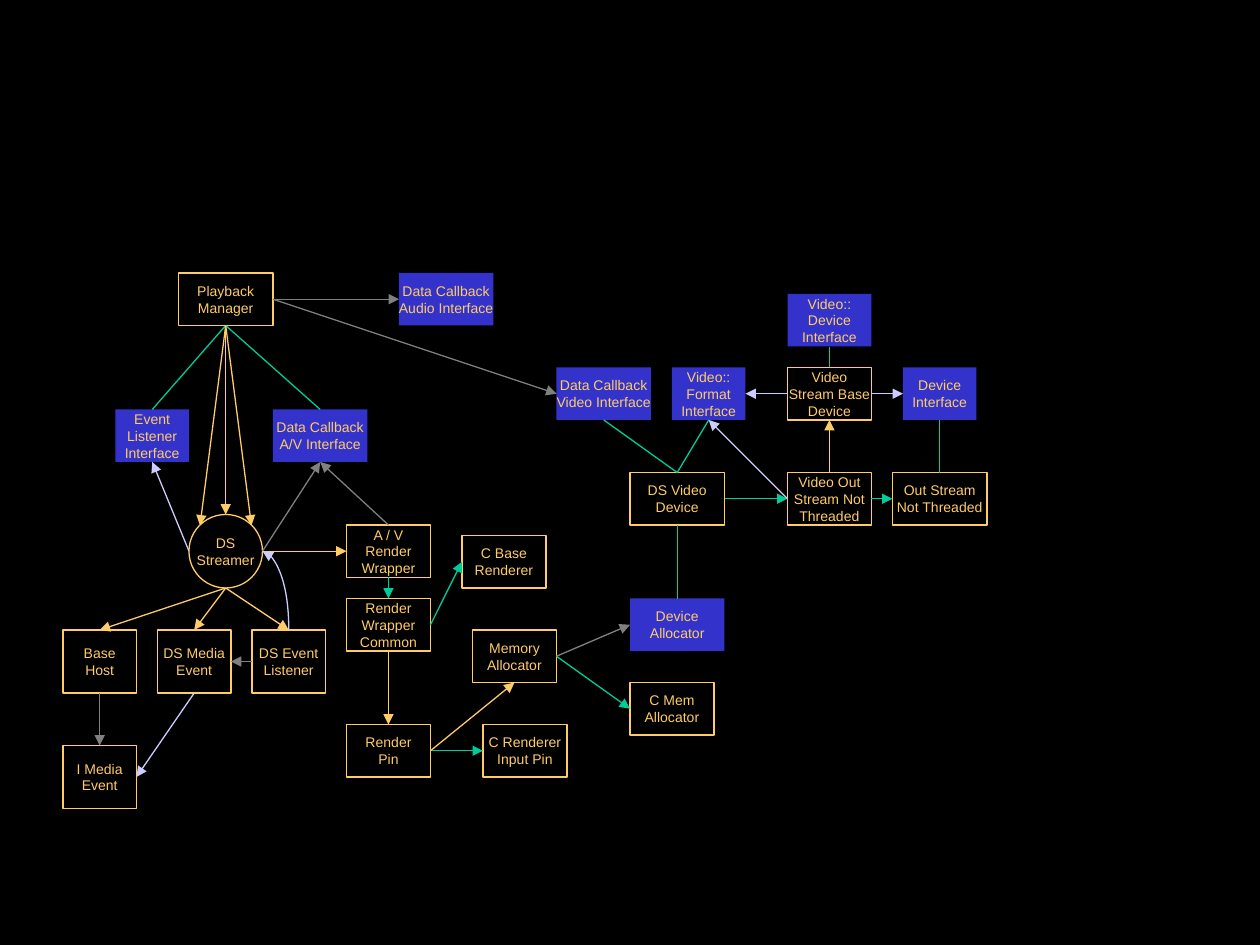
from dataclasses import dataclass

from lxml.etree import SubElement
from pptx import Presentation
from pptx.dml.color import RGBColor
from pptx.enum.shapes import MSO_AUTO_SHAPE_TYPE, MSO_CONNECTOR
from pptx.enum.text import MSO_ANCHOR, PP_ALIGN
from pptx.oxml.ns import qn
from pptx.util import Inches, Pt


@dataclass(frozen=True)
class Theme:
    background: str = "000000"
    gold: str = "FFCC66"
    interface: str = "3333CC"
    green: str = "00CC99"
    grey: str = "808080"
    lavender: str = "CCCCFF"
    font: str = "Arial"
    size: int = 8
    line: float = 0.75


THEME = Theme()
SIDES = ("top", "left", "bottom", "right")
SITES = {
    "top": (0.5, 0), "left": (0, 0.5), "bottom": (0.5, 1), "right": (1, 0.5),
    "upper left": (0.15, 0.15), "upper right": (0.85, 0.15),
}


def grid(n):
    """Length of n grid steps, twelve to the inch."""
    return Inches(n / 12)


def rgb(color):
    return RGBColor.from_string(color)


def write(shape, text, color=THEME.gold, size=THEME.size, font=THEME.font):
    tf = shape.text_frame
    tf.word_wrap = False
    tf.vertical_anchor = MSO_ANCHOR.MIDDLE
    for i, line in enumerate(text.split("\n")):
        p = tf.add_paragraph() if i else tf.paragraphs[0]
        p.alignment = PP_ALIGN.CENTER
        r = p.add_run()
        r.text = line
        r.font.name, r.font.size = font, Pt(size)
        r.font.color.rgb = rgb(color)


def add_node(slide, text, box, fill=None, kind=MSO_AUTO_SHAPE_TYPE.RECTANGLE):
    """Filled boxes are interfaces; outlined ones are classes."""
    sp = slide.shapes.add_shape(kind, *map(grid, box))
    sp.shadow.inherit = False
    if fill:
        sp.fill.solid()
        sp.fill.fore_color.rgb = rgb(fill)
        sp.line.fill.background()
    else:
        sp.fill.background()
        sp.line.color.rgb = rgb(THEME.gold)
        sp.line.width = Pt(THEME.line)
    write(sp, text)
    return sp


def add_nodes(slide, x, y, rows):
    """Place (name, text, dx, dy, width, height, fill) rows from the corner x, y."""
    return {name: add_node(slide, text, (x + dx, y + dy, w, h), fill)
            for name, text, dx, dy, w, h, fill in rows}


def playback_region(slide, x, y):
    blue = THEME.interface
    nodes = add_nodes(slide, x, y, [
        ("manager", "Playback\nManager", 6, 0, 9, 5, None),
        ("audio", "Data Callback\nAudio Interface", 27, 0, 9, 5, blue),
        ("listener_if", "Event\nListener\nInterface", 0, 13, 7, 5, blue),
        ("av", "Data Callback\nA/V Interface", 15, 13, 9, 5, blue),
    ])
    nodes["streamer"] = add_node(slide, "DS\nStreamer", (x + 7, y + 23, 7, 7),
                                 kind=MSO_AUTO_SHAPE_TYPE.OVAL)
    return nodes


def event_region(slide, x, y):
    return add_nodes(slide, x, y, [
        ("host", "Base\nHost", 0, 0, 7, 6, None),
        ("media", "DS Media\nEvent", 9, 0, 7, 6, None),
        ("listener", "DS Event\nListener", 18, 0, 7, 6, None),
        ("i_media", "I Media\nEvent", 0, 11, 7, 6, None),
    ])


def render_region(slide, x, y):
    return add_nodes(slide, x, y, [
        ("wrapper", "A / V\nRender\nWrapper", 0, 0, 8, 5, None),
        ("common", "Render\nWrapper\nCommon", 0, 7, 8, 5, None),
        ("pin", "Render\nPin", 0, 19, 8, 5, None),
        ("base_renderer", "C Base\nRenderer", 11, 1, 8, 5, None),
        ("memory", "Memory\nAllocator", 12, 10, 8, 5, None),
        ("input_pin", "C Renderer\nInput Pin", 13, 19, 8, 5, None),
        ("c_mem", "C Mem\nAllocator", 27, 15, 8, 5, None),
        ("allocator", "Device\nAllocator", 27, 7, 9, 5, THEME.interface),
    ])


def video_region(slide, x, y):
    blue = THEME.interface
    return add_nodes(slide, x, y, [
        ("video_if", "Video::\nDevice\nInterface", 22, 0, 8, 5, blue),
        ("video", "Data Callback\nVideo Interface", 0, 7, 9, 5, blue),
        ("format", "Video::\nFormat\nInterface", 11, 7, 7, 5, blue),
        ("stream_base", "Video\nStream Base\nDevice", 22, 7, 8, 5, None),
        ("device_if", "Device\nInterface", 33, 7, 7, 5, blue),
        ("video_device", "DS Video\nDevice", 7, 17, 9, 5, None),
        ("video_out", "Video Out\nStream Not\nThreaded", 22, 17, 8, 5, None),
        ("out_stream", "Out Stream\nNot Threaded", 32, 17, 9, 5, None),
    ])


def style_line(cxn, color, arrow=True):
    cxn.line.color.rgb = rgb(color)
    cxn.line.width = Pt(THEME.line)
    if arrow:
        SubElement(cxn.line._get_or_add_ln(), qn("a:tailEnd"), type="triangle")
    SubElement(cxn._element.spPr, qn("a:effectLst"))


def site(sp, name):
    fx, fy = SITES[name]
    return int(sp.left + fx * sp.width), int(sp.top + fy * sp.height)


def link(slide, start, start_side, end, end_side, color, arrow=True):
    cxn = slide.shapes.add_connector(
        MSO_CONNECTOR.STRAIGHT, *site(start, start_side), *site(end, end_side))
    for sp, side, connect in ((start, start_side, cxn.begin_connect),
                              (end, end_side, cxn.end_connect)):
        if sp.auto_shape_type == MSO_AUTO_SHAPE_TYPE.RECTANGLE:
            connect(sp, SIDES.index(side))
    style_line(cxn, color, arrow)


def curve_link(slide, start, end, color):
    """Curve up from the top of start and into the right side of end."""
    (x1, y1), (x2, y2) = site(start, "top"), site(end, "right")
    cx, cy = (x1 + x2) // 2, (y1 + y2) // 2
    run, rise = (y1 - y2) // 2, (x1 - x2) // 2
    cxn = slide.shapes.add_connector(
        MSO_CONNECTOR.CURVE, cx - run, cy + rise, cx + run, cy - rise)
    sp_pr = cxn._element.spPr
    sp_pr.find(qn("a:xfrm")).set("rot", str(270 * 60000))
    sp_pr.find(qn("a:prstGeom")).set("prst", "curvedConnector2")
    style_line(cxn, color)


def link_nodes(slide, nodes):
    plain = {
        THEME.green: [
            ("manager", "bottom", "listener_if", "top"),
            ("manager", "bottom", "av", "top"),
            ("video", "bottom", "video_device", "top"),
            ("video_device", "top", "format", "bottom"),
            ("allocator", "top", "video_device", "bottom"),
            ("out_stream", "top", "device_if", "bottom"),
            ("stream_base", "top", "video_if", "bottom"),
        ],
    }
    arrows = {
        THEME.green: [
            ("wrapper", "bottom", "common", "top"),
            ("common", "right", "base_renderer", "left"),
            ("pin", "right", "input_pin", "left"),
            ("memory", "right", "c_mem", "left"),
            ("video_device", "right", "video_out", "left"),
            ("video_out", "right", "out_stream", "left"),
        ],
        THEME.grey: [
            ("manager", "right", "audio", "left"),
            ("manager", "right", "video", "left"),
            ("streamer", "right", "av", "bottom"),
            ("wrapper", "top", "av", "bottom"),
            ("listener", "left", "media", "right"),
            ("host", "bottom", "i_media", "top"),
            ("memory", "right", "allocator", "left"),
        ],
        THEME.lavender: [
            ("streamer", "left", "listener_if", "bottom"),
            ("media", "bottom", "i_media", "right"),
            ("video_out", "left", "format", "bottom"),
            ("stream_base", "left", "format", "right"),
            ("stream_base", "right", "device_if", "left"),
        ],
        THEME.gold: [
            *(("manager", "bottom", "streamer", side)
              for side in ("upper left", "top", "upper right")),
            *(("streamer", "bottom", name, "top")
              for name in ("host", "media", "listener")),
            ("streamer", "right", "wrapper", "left"),
            ("common", "bottom", "pin", "top"),
            ("pin", "right", "memory", "bottom"),
            ("video_out", "top", "stream_base", "bottom"),
        ],
    }
    for groups, arrow in ((plain, False), (arrows, True)):
        for color, links in groups.items():
            for start, start_side, end, end_side in links:
                link(slide, nodes[start], start_side, nodes[end], end_side, color, arrow)
    curve_link(slide, nodes["listener"], nodes["streamer"], THEME.lavender)


def main():
    prs = Presentation()
    prs.slide_width, prs.slide_height = Inches(10), Inches(7.5)
    s = prs.slides.add_slide(prs.slide_layouts[6])
    s.background.fill.solid()
    s.background.fill.fore_color.rgb = rgb(THEME.background)
    nodes = {
        **playback_region(s, 11, 26),
        **event_region(s, 6, 60),
        **render_region(s, 33, 50),
        **video_region(s, 53, 28),
    }
    link_nodes(s, nodes)
    prs.save("out.pptx")


if __name__ == "__main__":
    main()
